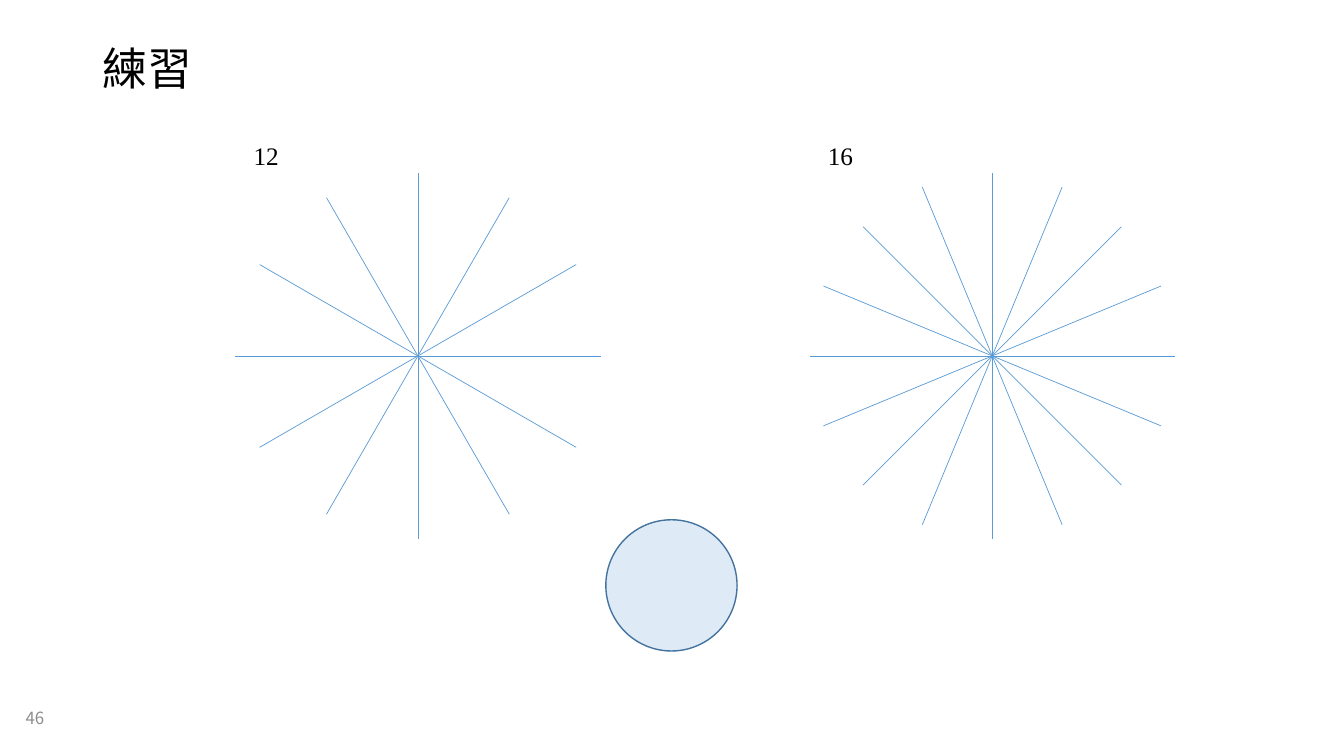
from math import cos, pi, sin

from lxml import etree
from pptx import Presentation
from pptx.dml.color import RGBColor
from pptx.enum.shapes import MSO_CONNECTOR, MSO_SHAPE
from pptx.enum.text import MSO_ANCHOR, MSO_AUTO_SIZE, PP_ALIGN
from pptx.oxml.ns import qn
from pptx.util import Emu, Pt

ELLIPSE = MSO_SHAPE.OVAL
STRAIGHT = MSO_CONNECTOR.STRAIGHT
MIDDLE = MSO_ANCHOR.MIDDLE
NO_AUTOFIT = MSO_AUTO_SIZE.NONE
LEFT, CENTER = PP_ALIGN.LEFT, PP_ALIGN.CENTER

EMU_PER_PX = 9525
SANS, SERIF = "Noto Sans CJK SC", "Times New Roman"
COLORS = {
    "text": "000000",
    "page": "8C8C8C",
    "ray": "5B9BD5",
    "disc": "DEEBF7",
    "disc_edge": "43739E",
}


def px(length):
    """Turn pixels into EMU."""
    return Emu(round(length * EMU_PER_PX))


def rgb(name):
    """Look up a named colour."""
    return RGBColor.from_string(COLORS[name])


def write(frame, text, size, face, color, align=LEFT):
    """Put one formatted paragraph into a text frame."""
    frame.text = text
    frame.word_wrap = True
    frame.auto_size = NO_AUTOFIT
    frame.vertical_anchor = MIDDLE
    paragraph = frame.paragraphs[0]
    paragraph.alignment = align
    font = paragraph.font
    font.size, font.name = Pt(size), face
    font.color.rgb = rgb(color)
    east_asian = etree.SubElement(font._element, qn("a:ea"))
    east_asian.set("typeface", face)
    return paragraph


def place_title(slide, left, top, width, height):
    """Move and format the title placeholder."""
    title = slide.shapes.title
    title.left, title.top = px(left), px(top)
    title.width, title.height = px(width), px(height)
    paragraph = write(title.text_frame, "練習", 32, SANS, "text")
    paragraph.line_spacing = 0.9


def add_page_number(slide, left, top, width, height):
    """Add the page number."""
    page = slide.shapes.add_textbox(px(left), px(top), px(width), px(height))
    write(page.text_frame, "46", 12, SANS, "page")


def add_star(slide, left, top, size, ray_count):
    """Draw equally spaced rays in a square box, with their count at its upper left."""
    label = slide.shapes.add_shape(ELLIPSE, px(left - 3), px(top - 49), px(65), px(65))
    label.shadow.inherit = False
    label.fill.background()
    label.line.fill.background()
    frame = label.text_frame
    frame.margin_left = frame.margin_right = 0
    write(frame, str(ray_count), 18, SERIF, "text", CENTER)

    radius = size / 2
    center_x, center_y = left + radius, top + radius
    star = slide.shapes.add_group_shape()
    for index in range(ray_count):
        angle = 2 * pi * index / ray_count
        ray = star.shapes.add_connector(
            STRAIGHT, px(center_x), px(center_y),
            px(center_x + radius * cos(angle)), px(center_y - radius * sin(angle)))
        ray.line.color.rgb = rgb("ray")
        ray.line.width = Pt(0.5)
        etree.SubElement(ray._element.spPr, qn("a:effectLst"))


def add_disc(slide, left, top, size):
    """Draw the pale disc."""
    disc = slide.shapes.add_shape(ELLIPSE, px(left), px(top), px(size), px(size))
    disc.shadow.inherit = False
    disc.fill.solid()
    disc.fill.fore_color.rgb = rgb("disc")
    disc.line.color.rgb = rgb("disc_edge")
    disc.line.width = Pt(1)


def main():
    """Build the exercise slide."""
    deck = Presentation()
    deck.slide_width, deck.slide_height = px(1280), px(720)
    slide = deck.slides.add_slide(deck.slide_layouts.get_by_name("Title Only"))
    place_title(slide, 88, 38, 1104, 60)
    add_page_number(slide, 15, 665, 64, 37)
    for left, ray_count in ((224, 12), (771, 16)):
        add_star(slide, left, 165, 348, ray_count)
    add_disc(slide, 577, 495, 125)
    deck.save("out.pptx")


if __name__ == "__main__":
    main()
